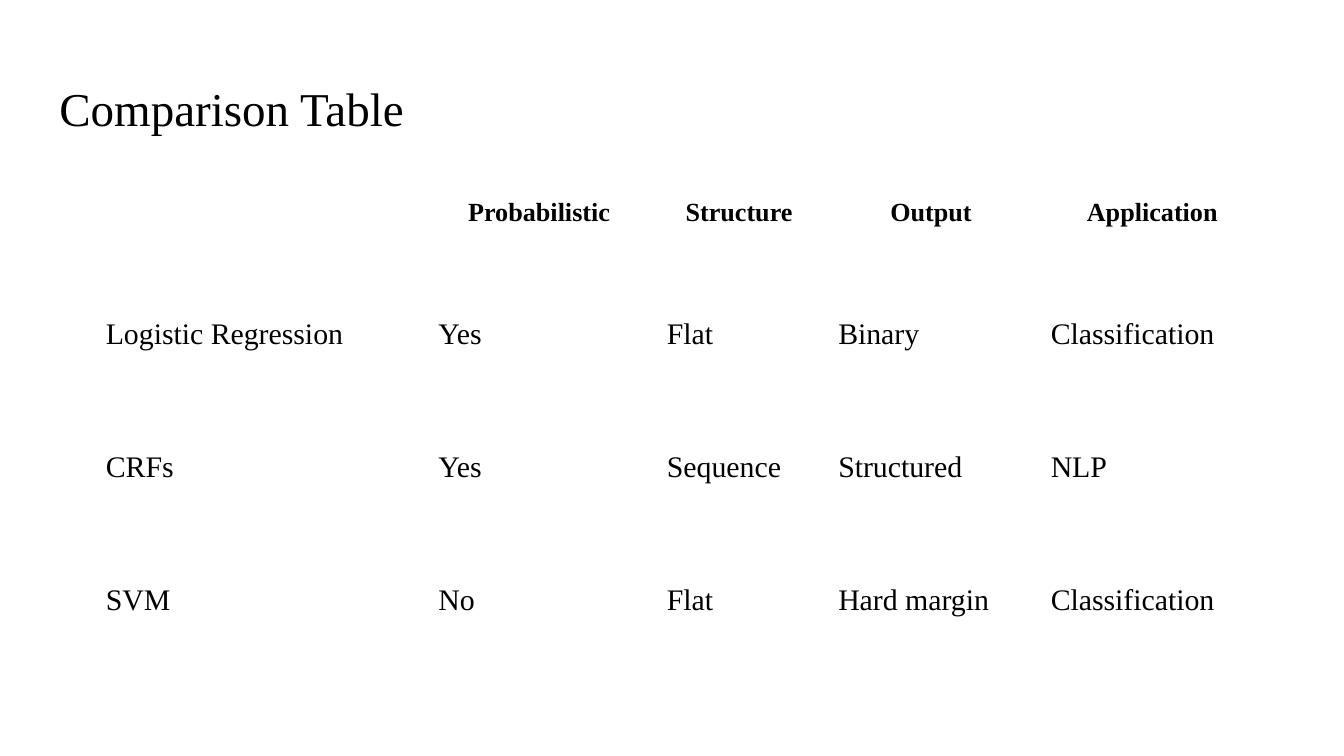
from pptx import Presentation
from pptx.dml.color import RGBColor
from pptx.enum.text import MSO_ANCHOR, PP_ALIGN
from pptx.util import Pt

TOP, MIDDLE = MSO_ANCHOR.TOP, MSO_ANCHOR.MIDDLE
LEFT, CENTER = PP_ALIGN.LEFT, PP_ALIGN.CENTER
PX = 5715
FONT = "Times New Roman"
INK = "000000"
PAD = 16
MARGINS = ("margin_left", "margin_top", "margin_right", "margin_bottom")

TITLE_FORMAT = {"size": Pt(25.2), "bold": False}
HEAD_FORMAT = {"size": Pt(14), "bold": True}
BODY_FORMAT = {"size": Pt(16), "bold": False}

COL_WIDTHS = (396, 272, 204, 253, 274)
ROW_HEIGHTS = (148, 158, 158, 158)
ROWS = (
    ("", "Probabilistic", "Structure", "Output", "Application"),
    ("Logistic Regression", "Yes", "Flat", "Binary", "Classification"),
    ("CRFs", "Yes", "Sequence", "Structured", "NLP"),
    ("SVM", "No", "Flat", "Hard margin", "Classification"),
)


def px(n):
    return n * PX


def color(hex_string):
    return RGBColor.from_string(hex_string)


def set_margins(box):
    for name in MARGINS:
        setattr(box, name, px(PAD))


def write(tf, text, formats, align=LEFT, spacing=1.0):
    p = tf.paragraphs[0]
    p.alignment = align
    p.line_spacing = spacing
    if text:
        r = p.add_run()
        r.text = text
        for name, value in {"name": FONT, **formats}.items():
            setattr(r.font, name, value)
        r.font.color.rgb = color(INK)


def add_title(s, x, y, w, h):
    sp = s.shapes.add_textbox(px(x), px(y), px(w), px(h))
    tf = sp.text_frame
    tf.word_wrap = True
    tf.vertical_anchor = MIDDLE
    set_margins(tf)
    write(tf, "Comparison Table", TITLE_FORMAT)


def add_comparison(s, x, y):
    w, h = sum(COL_WIDTHS), sum(ROW_HEIGHTS)
    frame = s.shapes.add_table(len(ROWS), len(COL_WIDTHS), px(x), px(y), px(w), px(h))
    table = frame.table
    table.first_row = False
    table.horz_banding = False
    for column, width in zip(table.columns, COL_WIDTHS):
        column.width = px(width)
    for i, (row, height, texts) in enumerate(zip(table.rows, ROW_HEIGHTS, ROWS)):
        row.height = px(height)
        style = (HEAD_FORMAT, CENTER, 1.15) if i == 0 else (BODY_FORMAT,)
        for cell, text in zip(row.cells, texts):
            cell.fill.background()
            cell.vertical_anchor = TOP
            set_margins(cell)
            write(cell.text_frame, text, *style)


def main():
    prs = Presentation()
    prs.slide_width, prs.slide_height = px(1600), px(900)
    s = prs.slides.add_slide(prs.slide_layouts[6])
    add_title(s, 55, 78, 1491, 101)
    add_comparison(s, 110, 215)
    prs.save("out.pptx")


if __name__ == "__main__":
    main()
